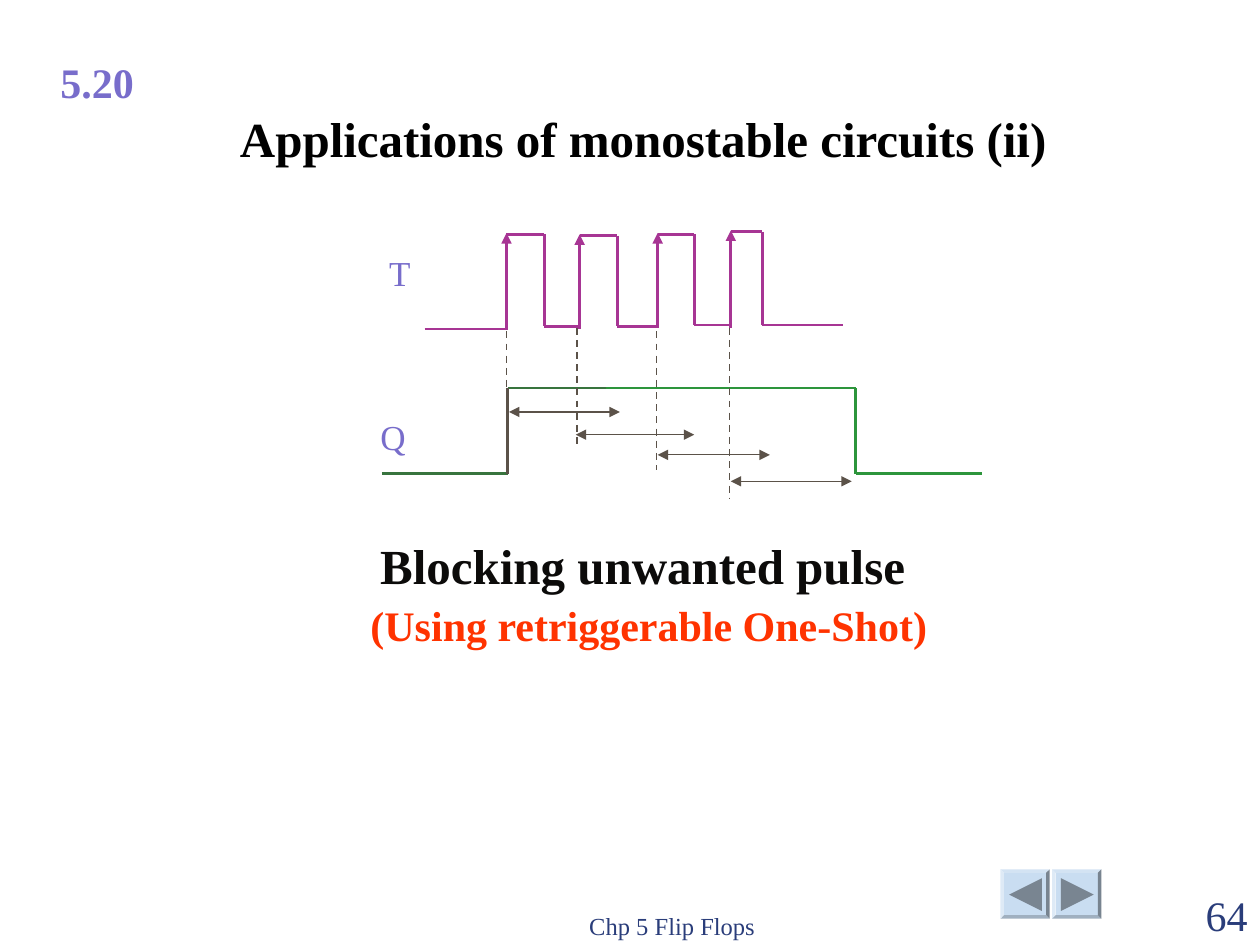
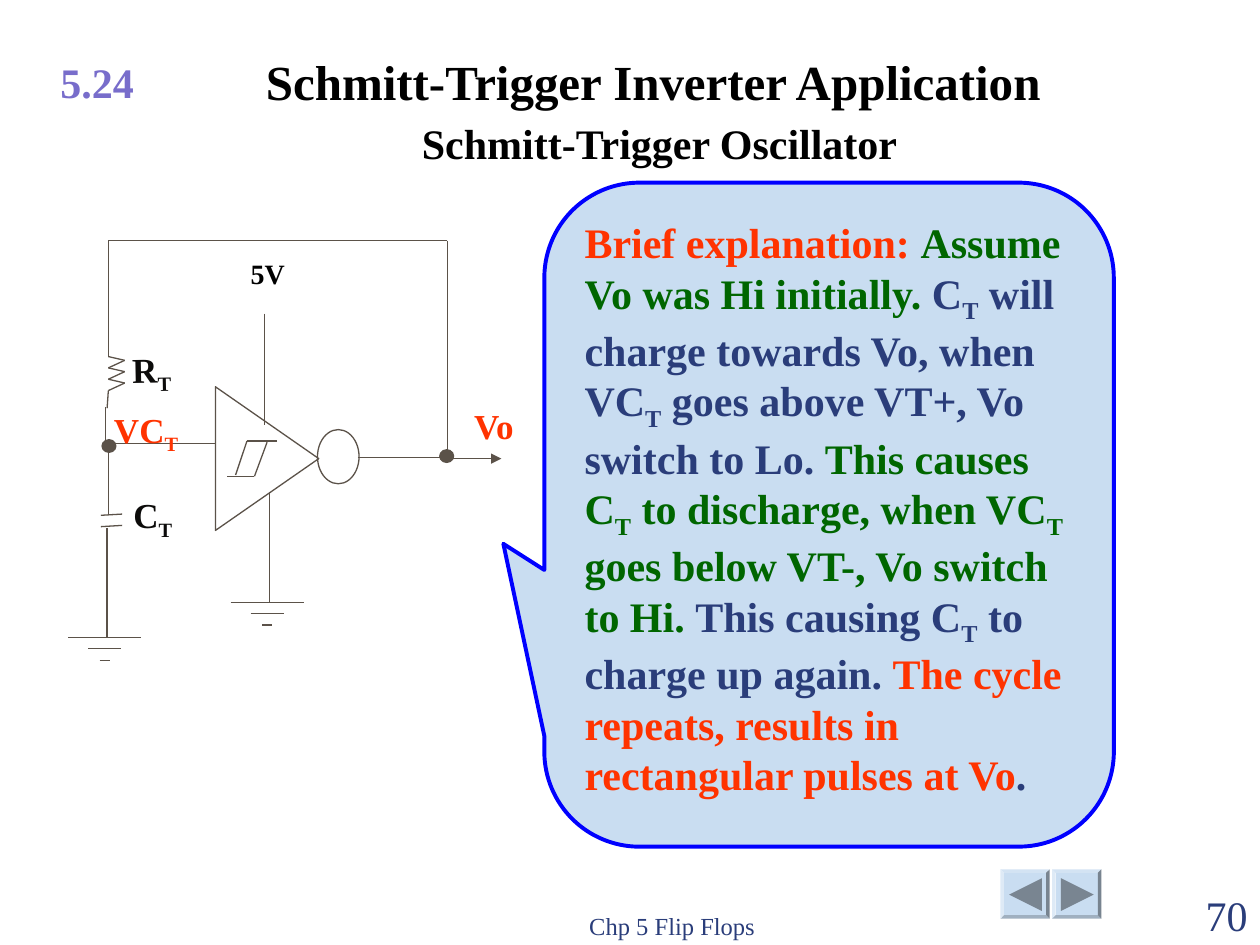
from itertools import pairwise

from lxml import etree
from pptx import Presentation
from pptx.dml.color import RGBColor
from pptx.enum.dml import MSO_LINE
from pptx.enum.shapes import MSO_CONNECTOR, MSO_SHAPE
from pptx.enum.text import MSO_ANCHOR, PP_ALIGN
from pptx.oxml.ns import qn
from pptx.util import Inches, Pt

FONT = "Times New Roman"
BLACK = RGBColor(0x00, 0x00, 0x00)
INK = RGBColor(0x0C, 0x0B, 0x0A)
VIOLET = RGBColor(0x78, 0x6D, 0xCB)
RED = RGBColor(0xFF, 0x33, 0x00)
NAVY = RGBColor(0x2A, 0x3D, 0x7A)
DARK_GREEN = RGBColor(0x00, 0x66, 0x00)
BLUE = RGBColor(0x00, 0x00, 0xFF)
PALE_BLUE = RGBColor(0xC9, 0xDD, 0xF1)
SLATE = RGBColor(0x79, 0x85, 0x91)
BROWN = RGBColor(0x5B, 0x52, 0x49)
MAGENTA = RGBColor(0xA7, 0x35, 0x94)
GREEN = RGBColor(0x2D, 0x95, 0x3C)
FOREST = RGBColor(0x38, 0x74, 0x3E)

LEFT, CENTER, RIGHT = PP_ALIGN.LEFT, PP_ALIGN.CENTER, PP_ALIGN.RIGHT
TOP, BOTTOM = MSO_ANCHOR.TOP, MSO_ANCHOR.BOTTOM
STRAIGHT = MSO_CONNECTOR.STRAIGHT
DASH = MSO_LINE.DASH
BEVEL, OVAL = MSO_SHAPE.BEVEL, MSO_SHAPE.OVAL
MERGE = MSO_SHAPE.FLOWCHART_MERGE
TRIANGLE = MSO_SHAPE.ISOSCELES_TRIANGLE
CALLOUT = MSO_SHAPE.ROUNDED_RECTANGULAR_CALLOUT


class Deck:
    def __init__(self):
        self.prs = Presentation()
        self.prs.slide_width = Inches(10)
        self.prs.slide_height = Inches(7.5)
        self.s = None

    def slide(self, section, number):
        self.s = self.prs.slides.add_slide(self.prs.slide_layouts[6])
        for x, rotation in ((7.94, -90), (8.35, 90)):
            button = self.shape(BEVEL, x, 6.9, 0.39, 0.39, PALE_BLUE)
            button.adjustments[0] = 0.07
            arrow = self.shape(TRIANGLE, x + 0.07, 6.97, 0.26, 0.26, SLATE)
            arrow.rotation = rotation
        self.text(0.38, 0.4, 0.78, 0.5, section, 24, VIOLET, True, wrap=False)
        self.text(3.75, 7.01, 3.17, 0.5, "Chp 5 Flip Flops", 14, NAVY,
                  align=CENTER, anchor=BOTTOM)
        self.text(9, 7.01, 1, 0.5, number, 24, NAVY, align=RIGHT, anchor=BOTTOM)

    def title(self, x, y, h, text):
        return self.text(x, y, 8.17, h, text, 28, BLACK, True, CENTER, BOTTOM)

    def text(self, x, y, w, h, text, size, color, bold=False, align=LEFT,
             anchor=TOP, wrap=True):
        sp = self.s.shapes.add_textbox(Inches(x), Inches(y), Inches(w), Inches(h))
        tf = sp.text_frame
        tf.word_wrap = wrap
        tf.vertical_anchor = anchor
        self.paragraph(tf.paragraphs[0], [(text, color)], size, bold, align)
        return sp

    def paragraph(self, p, parts, size, bold=False, align=LEFT):
        p.alignment = align
        p.font.name = FONT
        p.font.size = Pt(size)
        p.font.bold = bold
        if len(parts) == 1:
            p.font.color.rgb = parts[0][1]
        for text, color in parts:
            plain, *subscripted = text.split("_")
            runs = [(plain, False)]
            for piece in subscripted:
                runs += [(piece[0], True), (piece[1:], False)]
            for content, lowered in runs:
                if not content:
                    continue
                r = p.add_run()
                r.text = content
                if len(parts) > 1:
                    r.font.color.rgb = color
                if lowered:
                    r._r.get_or_add_rPr().set("baseline", "-25000")

    def shape(self, kind, x, y, w, h, fill=None, line=None, width=0.75):
        sp = self.s.shapes.add_shape(kind, Inches(x), Inches(y), Inches(w), Inches(h))
        sp.shadow.inherit = False
        if fill is None:
            sp.fill.background()
        else:
            sp.fill.solid()
            sp.fill.fore_color.rgb = fill
        if line is None:
            sp.line.fill.background()
        else:
            sp.line.color.rgb = line
            sp.line.width = Pt(width)
        return sp

    def line(self, x1, y1, x2, y2, color=BROWN, width=0.75, dash=None,
             head=False, tail=False):
        c = self.s.shapes.add_connector(
            STRAIGHT, Inches(x1), Inches(y1), Inches(x2), Inches(y2))
        c.line.color.rgb = color
        c.line.width = Pt(width)
        if dash:
            c.line.dash_style = dash
        ln = c.line._get_or_add_ln()
        for tag, wanted in (("a:headEnd", head), ("a:tailEnd", tail)):
            if wanted:
                etree.SubElement(ln, qn(tag), type="triangle")
        etree.SubElement(c._element.spPr, qn("a:effectLst"))

    def wire(self, *points, color=BROWN, width=0.75):
        for start, end in pairwise(points):
            self.line(*start, *end, color, width)

    def ground(self, x, y):
        for step, half in enumerate((0.29, 0.13, 0.04)):
            bar_y = y + step * 0.09
            self.line(x - half, bar_y, x + half, bar_y)


def pulse_slide(deck):
    deck.slide("5.20", "64")
    deck.title(1.02, 0.71, 0.67, "Applications of monostable circuits (ii)")
    deck.text(2.92, 3.25, 0.9, 0.44, "Q", 20, VIOLET)
    deck.text(2.99, 1.95, 0.54, 0.44, "T", 20, VIOLET)

    deck.line(3.37, 2.61, 4.03, 2.61, MAGENTA, 1.5)
    pulses = [
        (4.02, 4.32, 4.61, 1.86, 2.59),
        (4.6, 4.9, 5.21, 1.87, 2.59),
        (5.22, 5.51, 5.81, 1.86, 2.58),
        (5.8, 6.05, 6.69, 1.84, 2.58),
    ]
    for rise, fall, end, high, low in pulses:
        deck.line(rise, high - 0.01, rise, low + 0.02, MAGENTA, 1.5, head=True)
        deck.wire((rise, high), (fall, high), (fall, low), (end, low),
                  color=MAGENTA, width=1.5)

    deck.wire((3.03, 3.76), (4.03, 3.76), color=FOREST, width=1.5)
    deck.wire((4.03, 3.08), (4.93, 3.08), color=FOREST, width=1.5)
    deck.wire((4.03, 3.08), (4.03, 3.76), width=1.5)
    deck.wire((4.81, 3.08), (6.79, 3.08), (6.79, 3.76), (7.79, 3.76),
              color=GREEN, width=1.5)

    triggers = [
        (4.02, 2.63, 3.75, 4.04, 4.92, 3.27),
        (4.58, 2.6, 3.56, 4.57, 5.51, 3.45),
        (5.21, 2.63, 3.73, 5.22, 6.11, 3.61),
        (5.79, 2.6, 3.96, 5.8, 6.76, 3.82),
    ]
    for x, top, bottom, start, end, y in triggers:
        deck.line(x, top, x, bottom, width=1, dash=DASH)
        deck.line(start, y, end, y, head=True, tail=True)

    deck.text(2.6, 4.2, 5, 0.57, "Blocking unwanted pulse", 28, INK, True, CENTER)
    deck.text(2.35, 4.71, 5.6, 0.5, "(Using retriggerable One-Shot)", 24, RED,
              True, CENTER)


def oscillator_slide(deck):
    deck.slide("5.24", "70")
    tf = deck.title(1.1, 0.4, 0.98, "Schmitt-Trigger Inverter Application").text_frame
    subtitle = tf.add_paragraph()
    subtitle.space_before = Pt(4)
    subtitle._p.get_or_add_pPr().set("marL", str(Inches(0.1)))
    deck.paragraph(subtitle, [("Schmitt-Trigger Oscillator", BLACK)], 24, True, CENTER)

    callout = deck.shape(CALLOUT, 4.32, 1.45, 4.52, 5.27, PALE_BLUE, BLUE, 2.25)
    for i, value in enumerate((-0.572, 0.044, 0.167)):
        callout.adjustments[i] = value
    tf = callout.text_frame
    tf.word_wrap = True
    tf.vertical_anchor = TOP
    deck.paragraph(tf.paragraphs[0], [
        ("Brief explanation: ", RED),
        ("Assume Vo was Hi initially.", DARK_GREEN),
        (" C_T will charge towards Vo, when VC_T goes above VT+, "
         "Vo switch to Lo. ", NAVY),
        ("This causes C_T to discharge, when VC_T goes below VT-, "
         "Vo switch to Hi. ", DARK_GREEN),
        ("This causing C_T to charge up again. ", NAVY),
        ("The cycle repeats, results in rectangular pulses at Vo", RED),
        (".", NAVY),
    ], 24, True)

    inverter = deck.shape(MERGE, 1.55, 3.23, 1.14, 0.82, line=BROWN)
    inverter.rotation = 270
    deck.shape(OVAL, 2.52, 3.41, 0.33, 0.43, line=BROWN)
    deck.wire((2.2, 3.5), (1.96, 3.5), (1.87, 3.77))
    deck.wire((2.12, 3.51), (2.02, 3.78), (1.8, 3.78))
    deck.wire((2.1, 2.49), (2.1, 3.37))
    deck.wire((2.14, 3.91), (2.14, 4.78))
    deck.ground(2.12, 4.78)

    deck.wire((1.71, 3.52), (0.89, 3.52))
    deck.wire((2.84, 3.63), (3.5, 3.63))
    for x, y in ((3.49, 3.57), (0.81, 3.49)):
        deck.shape(OVAL, x, y, 0.11, 0.1, BROWN, BROWN)
    deck.wire((0.86, 2.83), (0.86, 1.91), (3.55, 1.91), (3.55, 3.63))
    deck.line(3.59, 3.64, 3.98, 3.64, tail=True)

    for turn in range(3):
        y = 2.83 + turn * 0.09
        deck.wire((0.86, y), (0.99, y + 0.03), (0.86, y + 0.09))
    deck.wire((0.86, 3.1), (0.85, 3.24))
    deck.wire((0.84, 3.23), (0.84, 3.52))

    deck.wire((0.86, 3.55), (0.86, 4.08))
    for y in (4.08, 4.17):
        deck.wire((0.8, y + 0.01), (0.97, y))
    deck.wire((0.85, 4.19), (0.85, 5.06))
    deck.ground(0.83, 5.06)

    deck.text(1.89, 1.99, 0.47, 0.37, "5V", 16, BLACK, True, CENTER, wrap=False)
    resistor = deck.text(0.95, 2.71, 0.58, 0.48, "R_T", 20, INK, True)
    resistor.rotation = 358.9
    deck.text(0.96, 3.87, 0.64, 0.48, "C_T", 20, INK, True)
    deck.text(3.65, 3.16, 0.54, 0.44, "Vo", 20, RED, True, CENTER, wrap=False)
    deck.text(0.63, 3.19, 1.06, 0.48, "VC_T", 20, RED, True, CENTER)


def main():
    deck = Deck()
    pulse_slide(deck)
    oscillator_slide(deck)
    deck.prs.save("out.pptx")


if __name__ == "__main__":
    main()
